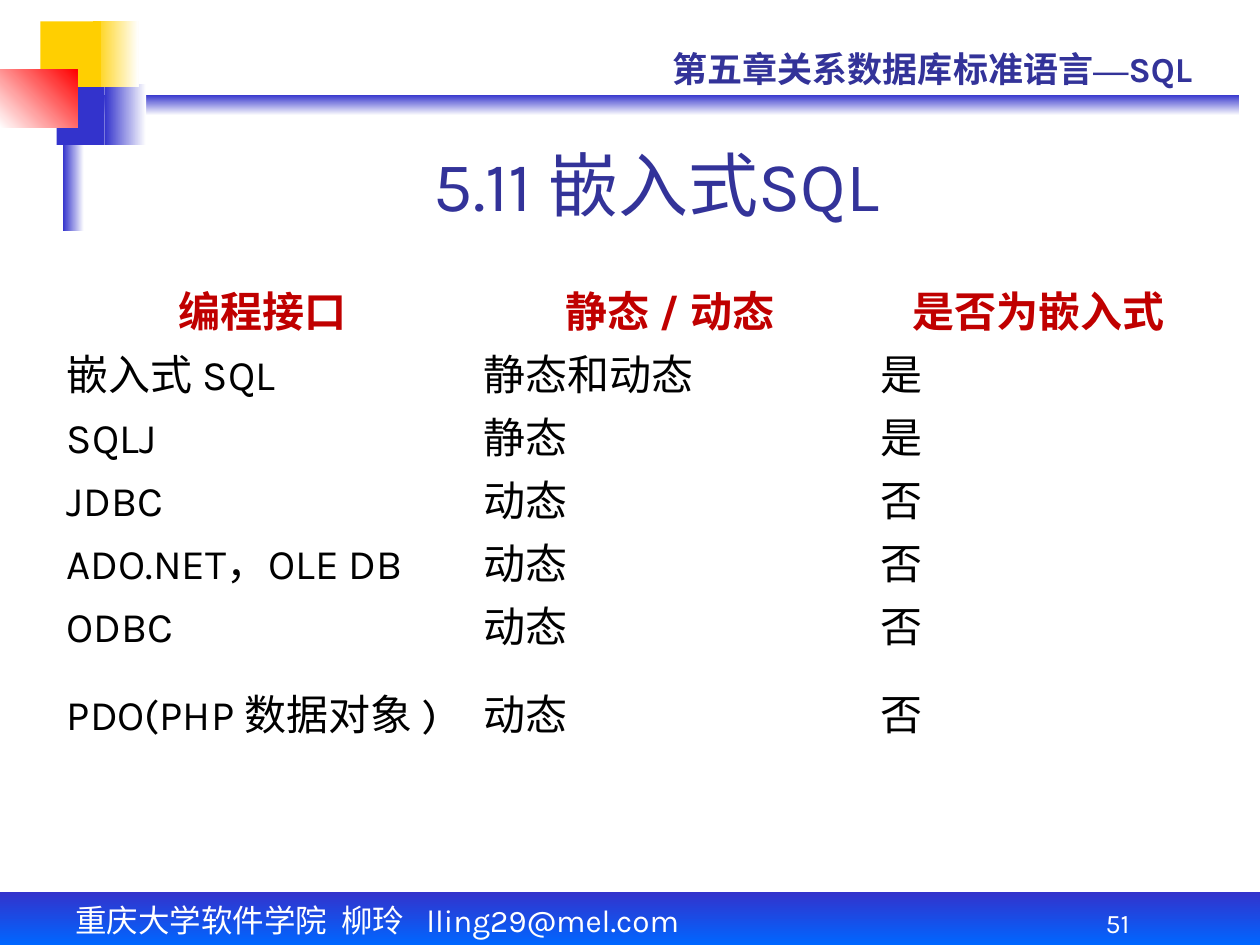
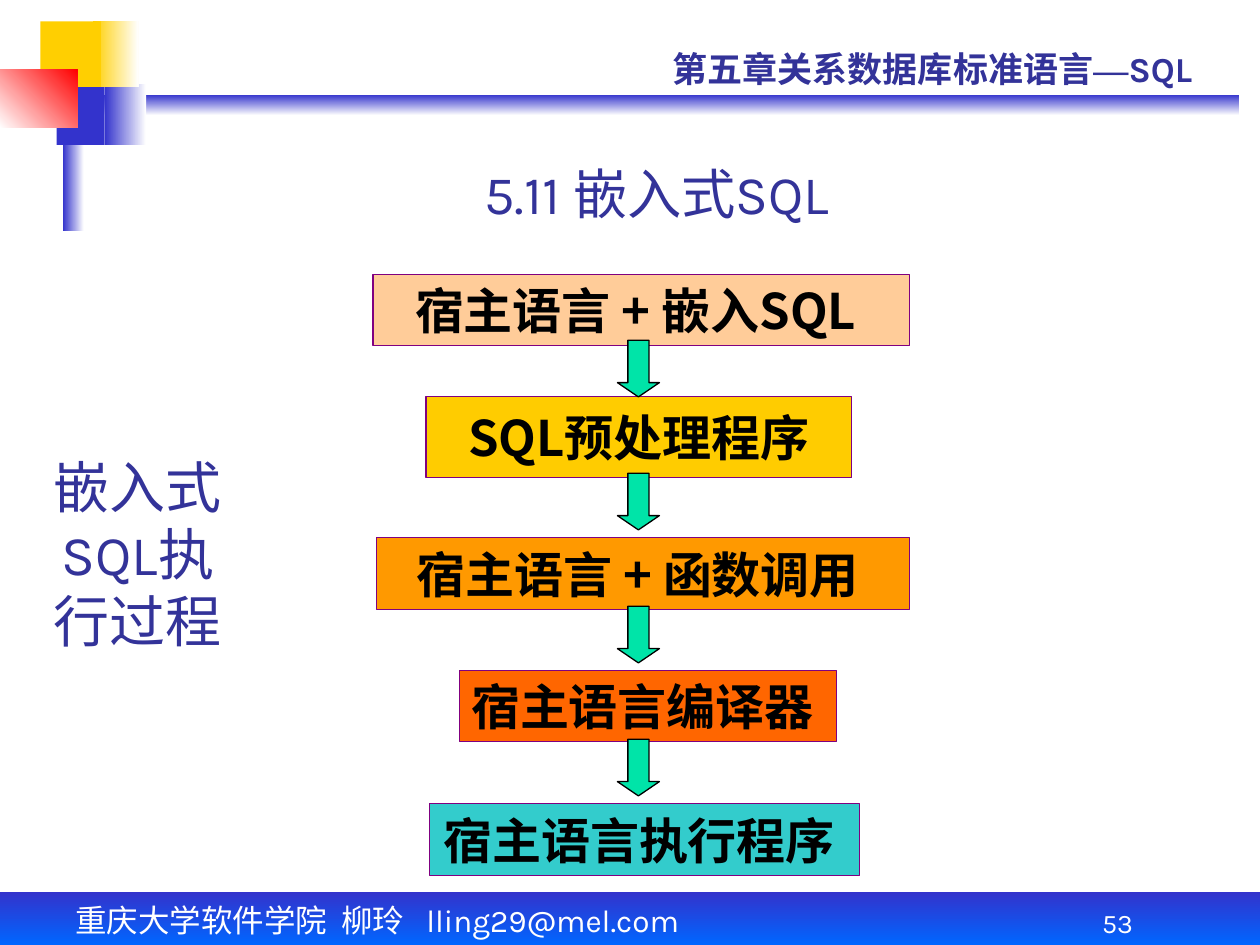
from dataclasses import dataclass
from typing import Optional

from lxml.etree import SubElement
from pptx import Presentation
from pptx.dml.color import RGBColor
from pptx.enum.lang import MSO_LANGUAGE_ID
from pptx.enum.shapes import MSO_SHAPE
from pptx.enum.text import MSO_ANCHOR, PP_ALIGN
from pptx.oxml.ns import qn
from pptx.util import Pt

LATIN, HAN, SERIF = "Karla", "Noto Sans CJK SC", "Times New Roman"
BLUE, NAVY, GOLD, RED = "3333CC", "333399", "FFCF01", "FF0000"
WHITE, BLACK, CRIMSON, PURPLE = "FFFFFF", "000000", "C00000", "800080"
TITLE = "5.11 嵌入式SQL"
TITLE_BOX = (90, 84.24, 570.24, 48.24)


@dataclass
class Block:
    """A plain rectangle; with a second colour it becomes a gradient."""
    box: tuple
    color: str
    end: Optional[str] = None
    angle: int = 0  # clockwise


@dataclass
class Step:
    text: str
    box: tuple
    color: str


# Shared design, from back to front
BLOCKS = [
    Block((42, 54, 666, 12), BLUE, WHITE, 90),
    Block((59.76, 48.24, 23.76, 34.56), BLUE, WHITE),
    Block((0, 509.76, 720, 30.24), BLUE, "0066FF", 90),
    Block((36, 41.76, 12, 90), BLUE, WHITE),
    Block((32.4, 48.24, 27.36, 34.56), BLUE),
    Block((53.28, 12.24, 25.92, 37.44), GOLD, WHITE),
    Block((23.04, 12.24, 34.56, 37.44), GOLD),
    Block((0, 39.6, 44.2, 33.5), WHITE, RED, 315),
]

COLS = (238.32, 226.8, 195.12)
ROW, LAST_ROW = 36, 64.8
ROWS = [
    ("编程接口", "静态 / 动态", "是否为嵌入式"),
    ("嵌入式 SQL", "静态和动态", "是"),
    ("SQLJ", "静态", "是"),
    ("JDBC", "动态", "否"),
    ("ADO.NET，OLE DB", "动态", "否"),
    ("ODBC", "动态", "否"),
    ("PDO(PHP 数据对象 )", "动态", "否"),
]

STEPS = [
    Step("宿主语言 + 嵌入SQL ", (213.12, 156.7, 306.5, 40.9), "FFCC99"),
    Step("SQL预处理程序", (243.36, 226.8, 243.36, 46.08), "FFCC00"),
    Step("宿主语言 + 函数调用 ", (215.1, 307.3, 304.7, 40.9), "FF9900"),
    Step("宿主语言编译器 ", (262.6, 383, 215.3, 40.9), "FF6600"),
    Step("宿主语言执行程序 ", (245.6, 459.2, 245.5, 40.9), "33CCCC"),
]
ARROW_TOP, ARROW_GAP = 194.4, 76


def rgb(color: str) -> RGBColor:
    return RGBColor.from_string(color)


def points(box: tuple) -> list:
    return [Pt(n) for n in box]


def write(frame, text, *, size: float, color: str, font: str = LATIN,
          bold: bool = False, align=PP_ALIGN.LEFT, leading=None,
          tabs: tuple = ()) -> None:
    """Write one paragraph; text is a string or a list of (string, font)."""
    para = frame.paragraphs[0]
    para.alignment = align
    if leading:
        para.line_spacing = Pt(leading)
    if tabs:
        stops = SubElement(para._p.get_or_add_pPr(), qn("a:tabLst"))
        for stop in tabs:
            SubElement(stops, qn("a:tab"), pos=str(Pt(stop)), algn="l")
    for words, face in [(text, font)] if isinstance(text, str) else text:
        run = para.add_run()
        run.text = words
        style = run.font
        style.name, style.size, style.bold = face, Pt(size), bold
        style.color.rgb = rgb(color)
        style.language_id = MSO_LANGUAGE_ID.SIMPLIFIED_CHINESE
        east = run._r.rPr.makeelement(qn("a:ea"), {"typeface": face})
        run._r.rPr.find(qn("a:latin")).addnext(east)


def label(slide, box: tuple, text, *, anchor=MSO_ANCHOR.TOP, **style) -> None:
    frame = slide.shapes.add_textbox(*points(box)).text_frame
    frame.word_wrap = True
    frame.vertical_anchor = anchor
    write(frame, text, **style)


def shape(slide, kind, box: tuple, color: str, line: Optional[str] = None):
    item = slide.shapes.add_shape(kind, *points(box))
    item.shadow.inherit = False
    item.fill.solid()
    item.fill.fore_color.rgb = rgb(color)
    if line:
        item.line.color.rgb = rgb(line)
        item.line.width = Pt(0.75)
    else:
        item.line.fill.background()
    return item


def block(slide, part: Block) -> None:
    item = shape(slide, MSO_SHAPE.RECTANGLE, part.box, part.color)
    if part.end:
        item.fill.gradient()
        item.fill.gradient_angle = (360 - part.angle) % 360
        for stop, color in zip(item.fill.gradient_stops, (part.color, part.end)):
            stop.color.rgb = rgb(color)


def heading(slide, box: tuple, text: str, size: float) -> None:
    label(slide, box, text, size=size, color=NAVY,
          align=PP_ALIGN.CENTER, anchor=MSO_ANCHOR.BOTTOM)


def base(deck, number: int):
    """Add a slide with the bands, chapter line and footer."""
    slide = deck.slides.add_slide(deck.slide_layouts[6])
    for part in BLOCKS:
        block(slide, part)
    label(slide, (36, 511.2, 401.76, 28.8),
          "重庆大学软件学院\t柳玲\tlling29@mel.com",
          size=18, color=WHITE, tabs=(152, 200.5))
    label(slide, (377.28, 23.76, 331.2, 31.68),
          [("第五章关系数据库标准语言", LATIN), ("—", SERIF), ("SQL", LATIN)],
          size=20, color=NAVY, bold=True)
    label(slide, (581.76, 509.76, 113.76, 30.24), str(number), size=15.3,
          color=WHITE, align=PP_ALIGN.CENTER, anchor=MSO_ANCHOR.BOTTOM)
    return slide


def grid(slide) -> None:
    """Table of programming interfaces."""
    height = ROW * (len(ROWS) - 1) + LAST_ROW
    table = slide.shapes.add_table(
        len(ROWS), len(COLS), *points((30.96, 156.96, sum(COLS), height))).table
    table.first_row = table.horz_banding = False
    for col, width in zip(table.columns, COLS):
        col.width = Pt(width)
    for r, texts in enumerate(ROWS):
        head = r == 0
        table.rows[r].height = Pt(LAST_ROW if r == len(ROWS) - 1 else ROW)
        for c, text in enumerate(texts):
            cell = table.cell(r, c)
            cell.fill.background()
            cell.vertical_anchor = MSO_ANCHOR.MIDDLE
            cell.margin_top, cell.margin_bottom = Pt(8), Pt(0)
            write(cell.text_frame, text, size=24, leading=28, bold=head,
                  color=CRIMSON if head else BLACK,
                  align=PP_ALIGN.CENTER if head else PP_ALIGN.LEFT)


def flow(slide) -> None:
    """Steps from source to program, with an arrow after each but the last."""
    for step in STEPS:
        item = shape(slide, MSO_SHAPE.RECTANGLE, step.box, step.color, PURPLE)
        frame = item.text_frame
        frame.word_wrap = False
        frame.vertical_anchor = MSO_ANCHOR.MIDDLE
        write(frame, step.text, size=28, color=BLACK, font=HAN, bold=True,
              align=PP_ALIGN.CENTER)
    for i in range(len(STEPS) - 1):
        box = (352.8, ARROW_TOP + i * ARROW_GAP, 24, 32.4)
        arrow = shape(slide, MSO_SHAPE.DOWN_ARROW, box, "00E4A8", BLACK)
        arrow.adjustments[0], arrow.adjustments[1] = 0.5, 0.34


def main() -> None:
    deck = Presentation()
    deck.slide_width, deck.slide_height = Pt(720), Pt(540)

    # Interfaces
    slide = base(deck, 51)
    grid(slide)
    heading(slide, TITLE_BOX, TITLE, 40)

    # Execution process
    slide = base(deck, 53)
    heading(slide, (19.44, 167.76, 118.8, 209.52), "嵌入式SQL执行过程", 32)
    flow(slide)
    heading(slide, TITLE_BOX, TITLE, 31)

    deck.save("out.pptx")


if __name__ == "__main__":
    main()
